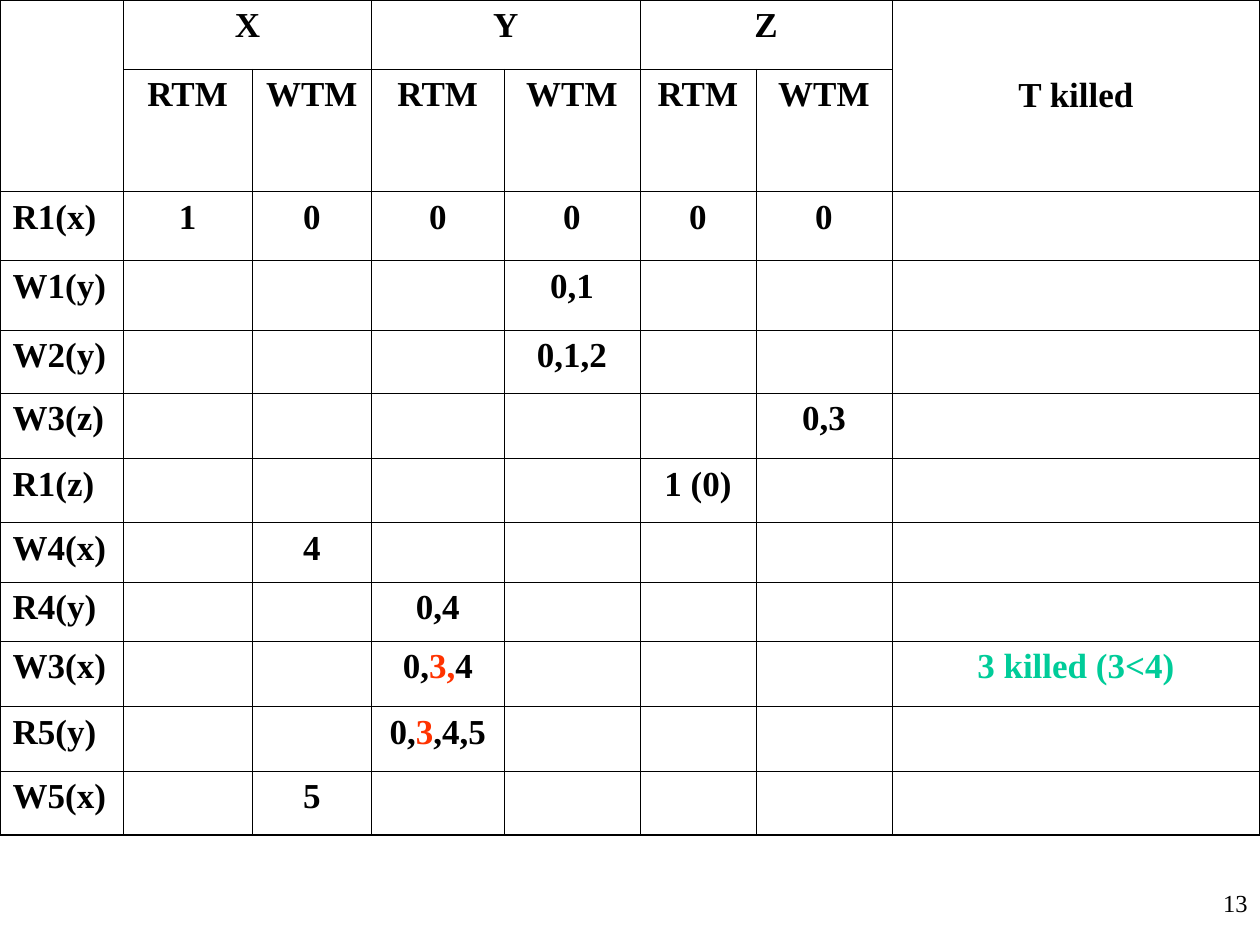
from lxml import etree
from pptx import Presentation
from pptx.dml.color import RGBColor
from pptx.enum.text import MSO_ANCHOR, PP_ALIGN
from pptx.oxml.ns import qn
from pptx.util import Inches, Pt

LEFT, CENTER, RIGHT = PP_ALIGN.LEFT, PP_ALIGN.CENTER, PP_ALIGN.RIGHT
TOP, MIDDLE = MSO_ANCHOR.TOP, MSO_ANCHOR.MIDDLE

FONT = "Times New Roman"
COLORS = {"black": "000000", "red": "FF3300", "green": "00CC99"}
INNER_LINE, OUTER_LINE = 0.45, 1.08

COLUMN_WIDTHS = [0.98, 1.02, 0.95, 1.05, 1.08, 0.92, 1.08, 2.92]
ROW_HEIGHTS = [0.55, 0.97, 0.55, 0.55, 0.5, 0.52, 0.51, 0.47, 0.47, 0.52, 0.51, 0.51]
VARIABLES = ["X", "Y", "Z"]
KILLED_COLUMN = len(COLUMN_WIDTHS) - 1
HEADER_ROWS = 2

# Each operation with the timestamps it changes, by column; a value is a list of (text, color) runs
OPERATIONS = [
    ("R1(x)", {1: "1", 2: "0", 3: "0", 4: "0", 5: "0", 6: "0"}),
    ("W1(y)", {4: "0,1"}),
    ("W2(y)", {4: "0,1,2"}),
    ("W3(z)", {6: "0,3"}),
    ("R1(z)", {5: "1 (0)"}),
    ("W4(x)", {2: "4"}),
    ("R4(y)", {3: "0,4"}),
    ("W3(x)", {3: [("0,", "black"), ("3,", "red"), ("4", "black")],
               7: [("3 killed (3<4)", "green")]}),
    ("R5(y)", {3: [("0,", "black"), ("3", "red"), (",4,5", "black")]}),
    ("W5(x)", {2: "5"}),
]


def write_text(text_frame, text, size=20, bold=True, align=CENTER):
    """Write a plain string, or a list of (text, color) runs, as one paragraph."""
    runs = [(text, "black")] if isinstance(text, str) else text
    paragraph = text_frame.paragraphs[0]
    paragraph.alignment = align
    for content, color in runs:
        run = paragraph.add_run()
        run.text = content
        run.font.name = FONT
        run.font.size = Pt(size)
        run.font.bold = bold
        run.font.color.rgb = RGBColor.from_string(COLORS[color])


def set_borders(cell, widths):
    properties = cell._tc.get_or_add_tcPr()
    for side, width in widths.items():
        line = etree.SubElement(properties, qn(f"a:ln{side}"), w=str(Pt(width)))
        fill = etree.SubElement(line, qn("a:solidFill"))
        etree.SubElement(fill, qn("a:srgbClr"), val=COLORS["black"])


def format_grid(table):
    """Give every cell a clear fill, thin inner lines and thicker outer lines."""
    last_row, last_column = len(ROW_HEIGHTS) - 1, len(COLUMN_WIDTHS) - 1
    for row in range(last_row + 1):
        for column in range(last_column + 1):
            cell = table.cell(row, column)
            outer = {"L": column == 0, "R": column == last_column,
                     "T": row == 0, "B": row == last_row}
            set_borders(cell, {side: OUTER_LINE if is_outer else INNER_LINE
                               for side, is_outer in outer.items()})
            cell.fill.background()


def add_header(table):
    table.cell(0, 0).merge(table.cell(1, 0))
    for index, variable in enumerate(VARIABLES):
        column = 1 + 2 * index
        table.cell(0, column).merge(table.cell(0, column + 1))
        write_text(table.cell(0, column).text_frame, variable)
        for offset, label in enumerate(["RTM", "WTM"]):
            write_text(table.cell(1, column + offset).text_frame, label)
    killed = table.cell(0, KILLED_COLUMN)
    killed.merge(table.cell(1, KILLED_COLUMN))
    killed.vertical_anchor = MIDDLE
    write_text(killed.text_frame, "T killed")


def add_timestamp_table(slide, left, top, width, height):
    frame = slide.shapes.add_table(len(ROW_HEIGHTS), len(COLUMN_WIDTHS),
                                   Inches(left), Inches(top), Inches(width), Inches(height))
    table = frame.table
    table.first_row = table.horz_banding = False
    for column, column_width in zip(table.columns, COLUMN_WIDTHS):
        column.width = Inches(column_width)
    for row, row_height in zip(table.rows, ROW_HEIGHTS):
        row.height = Inches(row_height)
    format_grid(table)
    add_header(table)
    # Operation rows
    for row, (operation, values) in enumerate(OPERATIONS, HEADER_ROWS):
        write_text(table.cell(row, 0).text_frame, operation, align=LEFT)
        for column, value in values.items():
            write_text(table.cell(row, column).text_frame, value)


def add_page_number(slide, left, top, width, height):
    box = slide.shapes.add_textbox(Inches(left), Inches(top), Inches(width), Inches(height))
    box.text_frame.word_wrap = True
    box.text_frame.vertical_anchor = TOP
    write_text(box.text_frame, "13", size=14, bold=False, align=RIGHT)


def main():
    presentation = Presentation()
    presentation.slide_width, presentation.slide_height = Inches(10), Inches(7.5)
    slide = presentation.slides.add_slide(presentation.slide_layouts[6])
    add_timestamp_table(slide, 0, 0, sum(COLUMN_WIDTHS), sum(ROW_HEIGHTS))
    add_page_number(slide, 7.92, 7, 2.08, 0.5)
    presentation.save("out.pptx")


if __name__ == "__main__":
    main()
